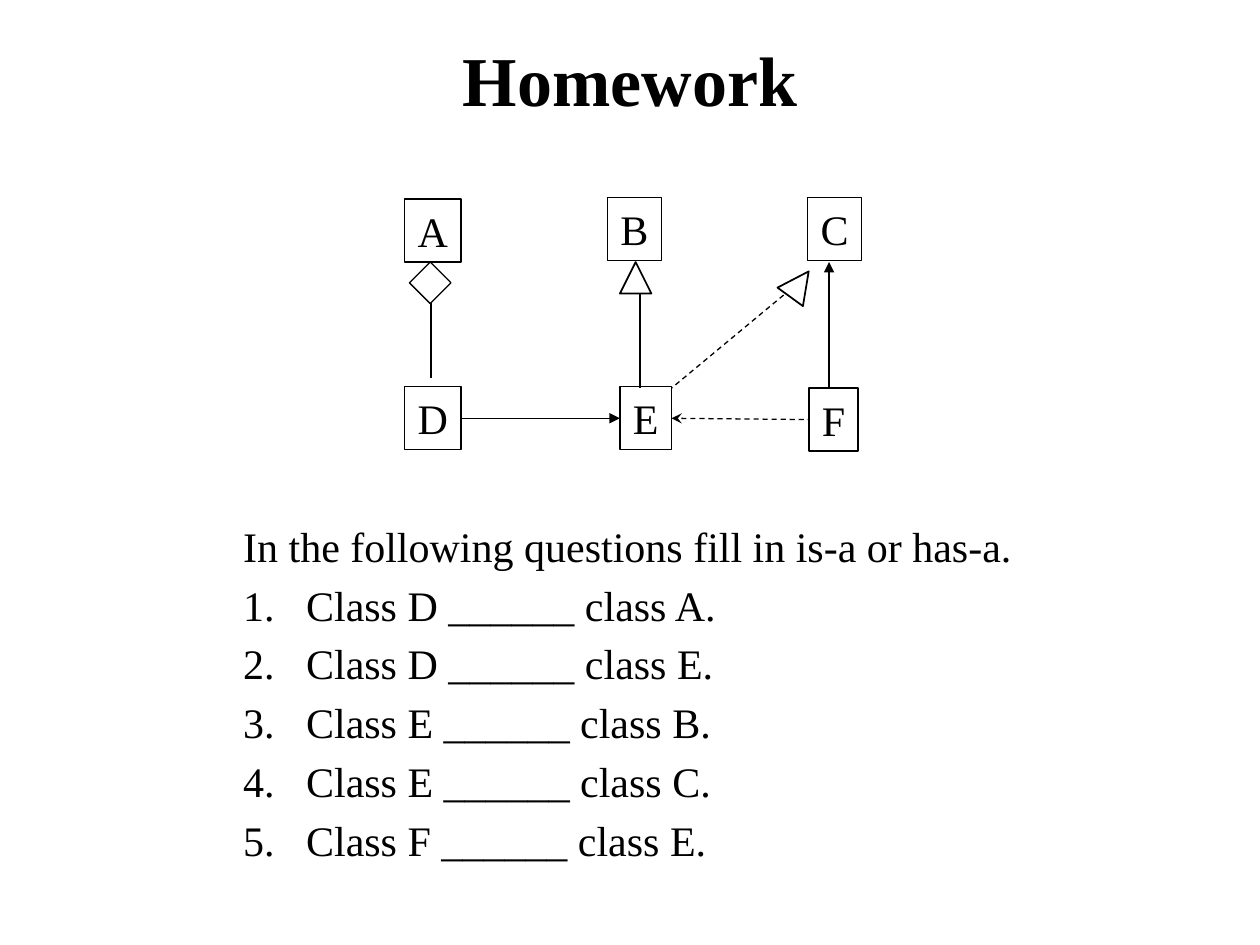
from lxml import etree
from pptx import Presentation
from pptx import util as u
from pptx.dml.color import RGBColor
from pptx.enum import dml, shapes, text
from pptx.oxml.ns import qn

COLORS = {"ink": "000000", "paper": "FFFFFF"}
FONT = "Times New Roman"
NODES = {
    "A": (0, 0.01, 0.45), "B": (1.61, 0, 0.43), "C": (3.2, 0, 0.43),
    "D": (0, 1.5, 0.45), "E": (1.71, 1.5, 0.41), "F": (3.21, 1.51, 0.39),
}
NODE_HEIGHT = 0.5
LINKS = [
    ((0.21, 0.76), (0.21, 1.43), None, False),
    ((1.87, 0.76), (1.87, 1.51), None, False),
    ((3.37, 0.51), (3.37, 1.51), "triangle", False),
    ((3.12, 0.68), (2.12, 1.51), None, True),
]
JOINS = [
    ("E", 1, "D", 3, "triangle", False),
    ("E", 3, "F", 1, "stealth", True),
]
MARKERS = [
    (shapes.MSO_SHAPE.DIAMOND, 0.04, 0.51, 0.33, 0, "paper", 0.75),
    (shapes.MSO_SHAPE.ISOSCELES_TRIANGLE, 1.71, 0.51, 0.25, 0, None, 1),
    (shapes.MSO_SHAPE.ISOSCELES_TRIANGLE, 3.01, 0.56, 0.25, 36, "paper", 1),
]
QUESTIONS = [("D", "A"), ("D", "E"), ("E", "B"), ("E", "C"), ("F", "E")]


def rgb(name):
    return RGBColor.from_string(COLORS[name])


def set_attrs(obj, values):
    for name, value in values.items():
        setattr(obj, name, value)


def place(sp, box):
    for name, value in zip(("left", "top", "width", "height"), box):
        setattr(sp, name, u.Inches(value))


def write(p, content, size, bold=False):
    r = p.add_run()
    r.text = content
    set_attrs(r.font, {"name": FONT, "size": u.Pt(size), "bold": bold})
    r.font.color.rgb = rgb("ink")


def add_bullet(p, left, indent, numbered):
    pPr = p._p.get_or_add_pPr()
    pPr.set("marL", str(u.Inches(left)))
    pPr.set("indent", str(u.Inches(indent)))
    if not numbered:
        etree.SubElement(pPr, qn("a:buNone"))
        return
    clr = etree.SubElement(pPr, qn("a:buClr"))
    etree.SubElement(clr, qn("a:srgbClr"), val=COLORS["ink"])
    etree.SubElement(pPr, qn("a:buFont"), typeface=FONT)
    etree.SubElement(pPr, qn("a:buAutoNum"), type="arabicPeriod")


def add_title(s, box):
    sp = s.shapes.title
    place(sp, box)
    tf = sp.text_frame
    set_attrs(tf, {"vertical_anchor": text.MSO_ANCHOR.MIDDLE,
                   "auto_size": text.MSO_AUTO_SIZE.NONE})
    p = tf.paragraphs[0]
    p.alignment = text.PP_ALIGN.CENTER
    write(p, "Homework", 40, bold=True)


def add_questions(s, box):
    sp = s.placeholders[1]
    place(sp, box)
    tf = sp.text_frame
    tf.auto_size = text.MSO_AUTO_SIZE.NONE
    p = tf.paragraphs[0]
    add_bullet(p, 0.38, -0.38, False)
    p.space_before = u.Pt(0)
    write(p, "In the following questions fill in is-a or has-a.", 24)
    for subject, target in QUESTIONS:
        p = tf.add_paragraph()
        add_bullet(p, 0.5, -0.5, True)
        p.space_before = u.Pt(4.8)
        write(p, f"Class {subject} ______ class {target}.", 24)


def add_outline(s, kind, box, fill, width):
    sp = s.shapes.add_shape(kind, *map(u.Inches, box))
    sp.shadow.inherit = False
    if fill:
        sp.fill.solid()
        sp.fill.fore_color.rgb = rgb(fill)
    else:
        sp.fill.background()
    sp.line.color.rgb = rgb("ink")
    sp.line.width = u.Pt(width)
    return sp


def add_node(s, box, label):
    sp = add_outline(s, shapes.MSO_SHAPE.RECTANGLE, box, None, 0.75)
    tf = sp.text_frame
    set_attrs(tf, {"word_wrap": False, "vertical_anchor": text.MSO_ANCHOR.TOP})
    p = tf.paragraphs[0]
    p.alignment = text.PP_ALIGN.CENTER
    write(p, label, 24)
    return sp


def add_link(s, start, end, head, dashed):
    ln = s.shapes.add_connector(shapes.MSO_CONNECTOR.STRAIGHT,
                                *map(u.Inches, (*start, *end)))
    ln.line.color.rgb = rgb("ink")
    ln.line.width = u.Pt(0.75)
    if dashed:
        ln.line.dash_style = dml.MSO_LINE.DASH
    if head:
        etree.SubElement(ln.line._get_or_add_ln(), qn("a:headEnd"), type=head)
    etree.SubElement(ln._element.spPr, qn("a:effectLst"))
    return ln


def add_diagram(s, box):
    x0, y0 = box[:2]
    nodes = {label: add_node(s, (x0 + x, y0 + y, w, NODE_HEIGHT), label)
             for label, (x, y, w) in NODES.items()}
    for (x1, y1), (x2, y2), head, dashed in LINKS:
        add_link(s, (x0 + x1, y0 + y1), (x0 + x2, y0 + y2), head, dashed)
    for first, side, second, other_side, head, dashed in JOINS:
        ln = add_link(s, (x0, y0), (x0, y0), head, dashed)
        ln.begin_connect(nodes[first], side)
        ln.end_connect(nodes[second], other_side)
    for kind, x, y, size, angle, fill, width in MARKERS:
        sp = add_outline(s, kind, (x0 + x, y0 + y, size, size), fill, width)
        sp.rotation = angle


def main():
    prs = Presentation()
    set_attrs(prs, {"slide_width": u.Inches(10), "slide_height": u.Inches(7.5)})
    s = prs.slides.add_slide(prs.slide_layouts[1])
    s.background.fill.solid()
    s.background.fill.fore_color.rgb = rgb("paper")
    add_title(s, (0.75, 0.25, 8.5, 0.75))
    add_questions(s, (1.83, 4.08, 7.17, 2.92))
    add_diagram(s, (3.21, 1.57, 3.63, 2.01))
    prs.save("out.pptx")


if __name__ == "__main__":
    main()
